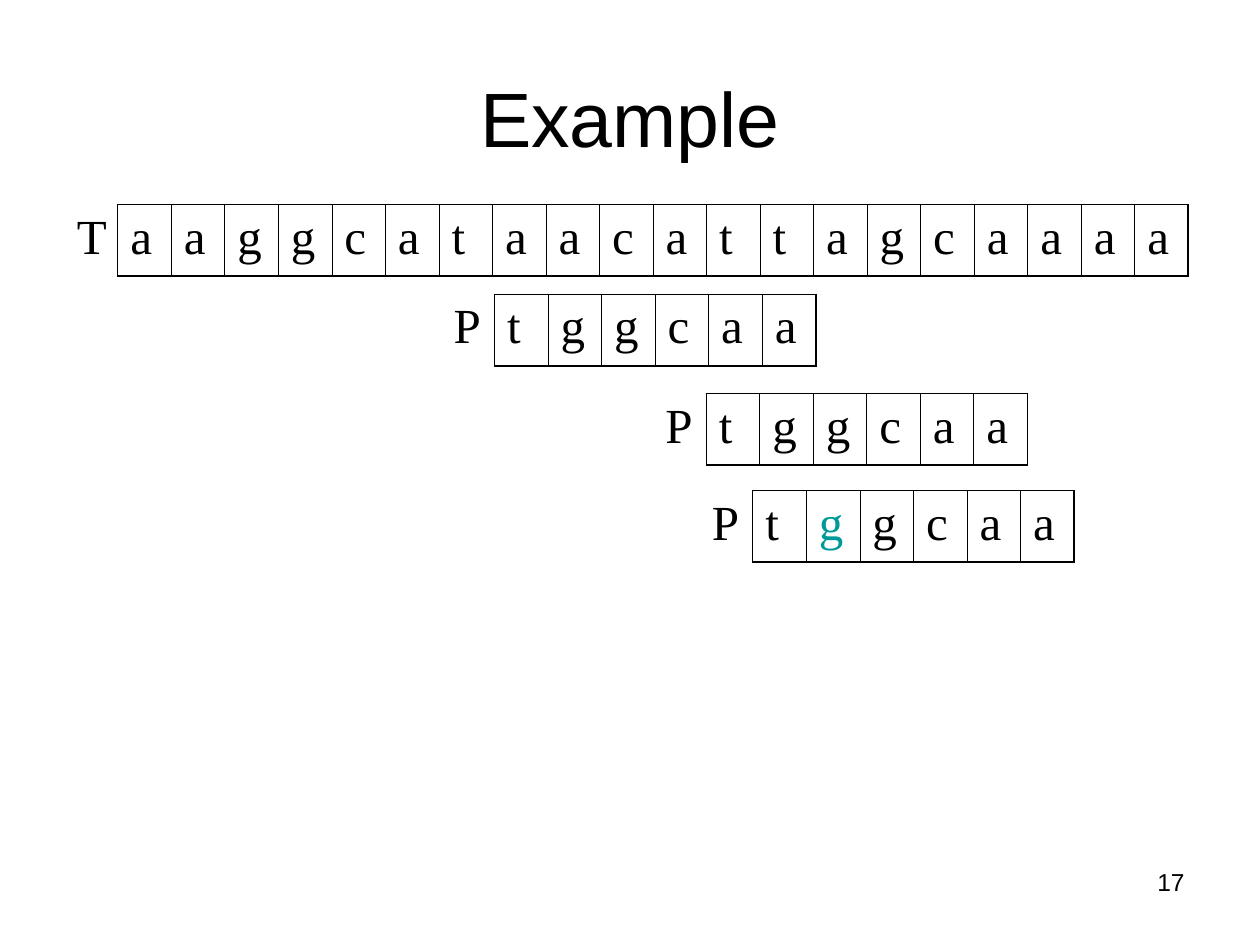
from dataclasses import dataclass

from lxml import etree
from pptx import Presentation
from pptx import util as u
from pptx.dml.color import RGBColor
from pptx.enum import text
from pptx.oxml import ns


@dataclass(frozen=True)
class Theme:
    ink: str = "000000"
    mark: str = "009999"
    sans: str = "Arial"
    serif: str = "Times New Roman"
    head: int = 44
    cell: int = 28
    foot: int = 14
    thin: float = 0.45
    thick: float = 1.08


look = Theme()


def style(para, name, size, ink=look.ink):
    para.font.name = name
    para.font.size = u.Pt(size)
    para.font.color.rgb = RGBColor.from_string(ink)


def rule(cell, side, width):
    """Draw one cell border; a width of 0 hides it."""
    line = etree.SubElement(cell._tc.get_or_add_tcPr(), ns.qn(f"a:ln{side}"),
                            w=str(u.Pt(width)))
    if width:
        fill = etree.SubElement(line, ns.qn("a:solidFill"))
        etree.SubElement(fill, ns.qn("a:srgbClr"), val=look.ink)
    else:
        etree.SubElement(line, ns.qn("a:noFill"))


deck = Presentation()
deck.slide_width, deck.slide_height = u.Inches(10), u.Inches(7.5)
wide, high = deck.slide_width / 100, deck.slide_height / 100  # one percent
slide = deck.slides.add_slide(deck.slide_layouts[5])

title = slide.shapes.title
title.left, title.top = int(5 * wide), int(4 * high)
title.width, title.height = int(90 * wide), int(16.67 * high)
title.text_frame.text = "Example"
title.text_frame.vertical_anchor = text.MSO_ANCHOR.MIDDLE
para = title.text_frame.paragraphs[0]
para.alignment = text.PP_ALIGN.CENTER
style(para, look.sans, look.head)

# Label, letters, left and top in percent, index of the marked letter
col, row = int(4.25 * wide), int(7.6 * high)
strips = [
    ("T", "aaggcataacattagcaaaa", 5.1, 21.6, None),
    ("P", "tggcaa", 35, 31.1, None),
    ("P", "tggcaa", 51.8, 41.6, None),
    ("P", "tggcaa", 55.5, 51.9, 1),
]
for label, word, left, top, hit in strips:
    chars = label + word
    frame = slide.shapes.add_table(1, len(chars), int(left * wide), int(top * high),
                                   col * len(chars), row)
    table = frame.table
    table.first_row = table.horz_banding = False
    for i, char in enumerate(chars):
        cell = table.cell(0, i)
        cell.text = char
        ink = look.mark if hit is not None and i == hit + 1 else look.ink
        style(cell.text_frame.paragraphs[0], look.serif, look.cell, ink)
        last = i == len(chars) - 1
        rule(cell, "L", look.thin if i else 0)
        rule(cell, "R", look.thick if last else look.thin)
        rule(cell, "T", look.thin if i else 0)
        rule(cell, "B", look.thick if i else 0)
        cell.fill.background()

page = slide.shapes.add_textbox(int(71.7 * wide), int(91.1 * high),
                                int(23.3 * wide), int(6.9 * high))
page.text_frame.word_wrap = True
para = page.text_frame.paragraphs[0]
para.text = "17"
para.alignment = text.PP_ALIGN.RIGHT
style(para, look.sans, look.foot)

deck.save("out.pptx")
